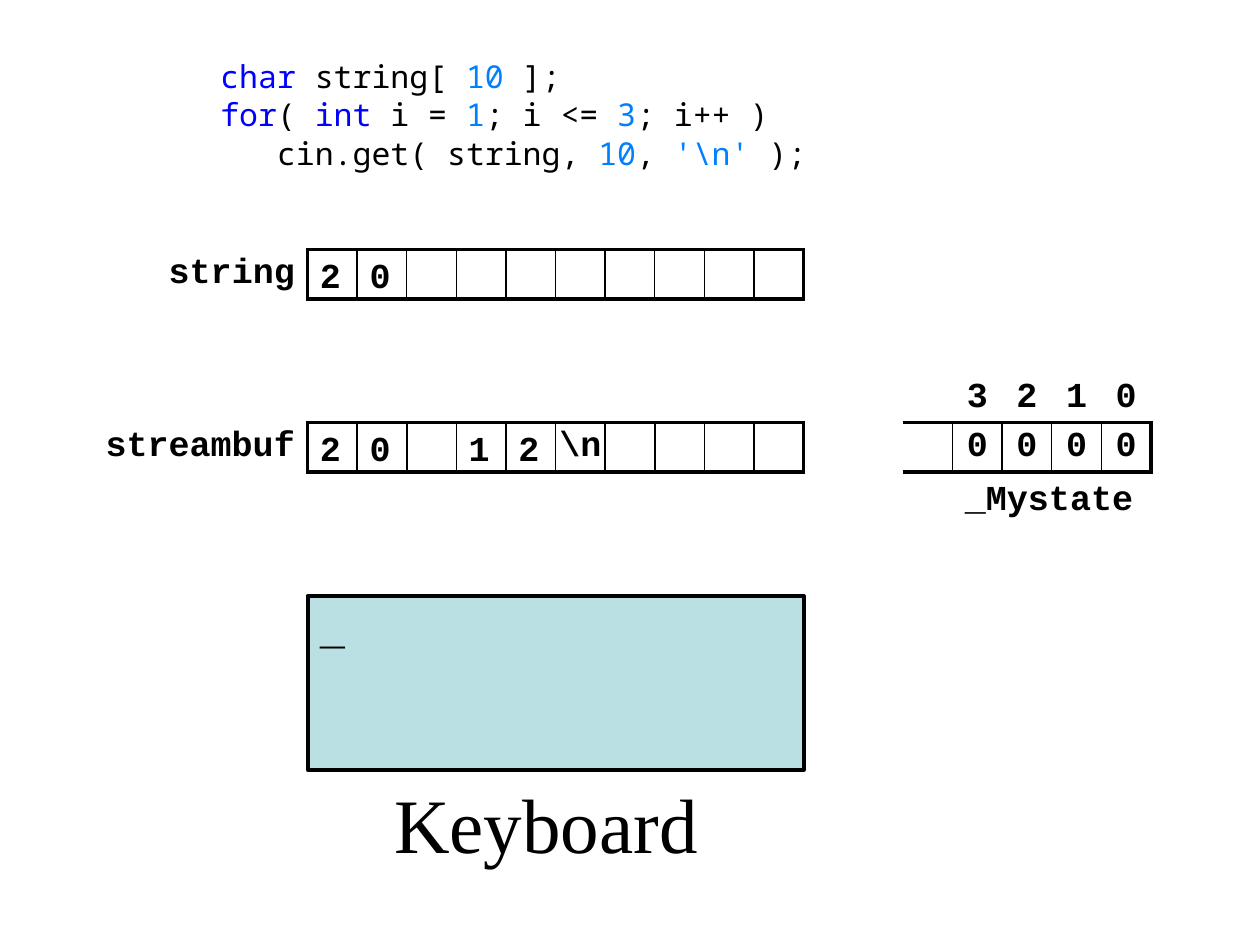
from lxml.etree import SubElement
from pptx import Presentation
from pptx.dml.color import RGBColor
from pptx.enum.shapes import MSO_SHAPE
from pptx.enum.text import MSO_ANCHOR as Anchor, PP_ALIGN as Align
from pptx.oxml.ns import qn
from pptx.util import Pt

COLORS = {"text": "000000", "keyword": "0000FF", "literal": "0080FF", "screen": "BBE0E3"}
MONO, CODE_FONT, SERIF = "Courier New", "Noto Sans Mono", "Times New Roman"
THICK, THIN = 2.25, 1
CELL = 28.35
BUFFER_X, STRING_Y, STREAM_Y = 175.75, 142.5, 213.1
STATE_X = BUFFER_X + 12 * CELL
SLOTS = 10

CODE = [
    [("char", "keyword"), (" string[ ", "text"), ("10", "literal"), (" ];", "text")],
    [("for", "keyword"), ("( ", "text"), ("int", "keyword"), (" i = ", "text"),
     ("1", "literal"), ("; i <= ", "text"), ("3", "literal"), ("; i++ )", "text")],
    [("   cin.get( string, ", "text"), ("10", "literal"), (", ", "text"),
     ("'\\n'", "literal"), (" );", "text")],
]
STREAM_ROWS = [[""] * (SLOTS + 1), ["streambuf"] + [""] * 5 + ["\\n"] + [""] * 4]
STRING_ROWS = [["string"] + [""] * SLOTS]
STATE_ROWS = [["", "3", "2", "1", "0"], ["", "0", "0", "0", "0"]]
# Slot number -> character, with the top of the row it sits in
CHARACTERS = [
    (STRING_Y, {0: "2", 1: "0"}),
    (STREAM_Y + CELL, {0: "2", 1: "0", 3: "1", 4: "2"}),
]


def rgb(name):
    return RGBColor.from_string(COLORS[name])


def add_run(paragraph, text, size, font=MONO, bold=True, color="text"):
    run = paragraph.add_run()
    run.text = text
    run.font.size, run.font.name, run.font.bold = Pt(size), font, bold
    run.font.color.rgb = rgb(color)


def set_margins(target, left, top, right, bottom):
    target.margin_left, target.margin_top = Pt(left), Pt(top)
    target.margin_right, target.margin_bottom = Pt(right), Pt(bottom)


def add_text_frame(slide, left, top, width, height, margins=(7.2, 3.6, 7.2, 3.6),
                   anchor=Anchor.TOP, wrap=True):
    box = slide.shapes.add_textbox(Pt(left), Pt(top), Pt(width), Pt(height))
    frame = box.text_frame
    frame.word_wrap, frame.vertical_anchor = wrap, anchor
    set_margins(frame, *margins)
    return frame


def set_borders(cell, **widths):
    """Draw each side in the given width; a width of 0 means no line."""
    properties = cell._tc.get_or_add_tcPr()
    for position, side in enumerate("LRTB"):
        line = properties.makeelement(qn(f"a:ln{side}"), {})
        properties.insert(position, line)
        if widths[side]:
            line.set("w", str(Pt(widths[side])))
            fill = SubElement(line, qn("a:solidFill"))
            SubElement(fill, qn("a:srgbClr"), val=COLORS["text"])
        else:
            SubElement(line, qn("a:noFill"))


def add_memory(slide, left, top, rows, label_width=0):
    """Add a table whose last row is framed; without a label its left end is open."""
    count = len(rows[0])
    first_width = label_width or CELL
    first_slot = 1 if label_width else 0
    graphic = slide.shapes.add_table(
        len(rows), count, Pt(left), Pt(top),
        Pt(first_width + (count - 1) * CELL), Pt(len(rows) * CELL))
    table = graphic.table
    table.first_row = table.horz_banding = False
    for index, column in enumerate(table.columns):
        column.width = Pt(CELL if index else first_width)

    def vertical_edge(row, edge):
        if row < len(rows) - 1 or edge < first_slot or edge == 0:
            return 0
        return THICK if edge in (count, first_slot) else THIN

    def horizontal_edge(edge, column):
        framed = edge >= len(rows) - 1 and column >= first_slot
        return THICK if framed else 0

    for r, texts in enumerate(rows):
        table.rows[r].height = Pt(CELL)
        for c, text in enumerate(texts):
            cell = table.cell(r, c)
            is_label = c < first_slot
            cell.fill.background()
            cell.vertical_anchor = Anchor.MIDDLE
            set_margins(cell, 0, 0, 7.2 if is_label else 0, 0)
            set_borders(cell, L=vertical_edge(r, c), R=vertical_edge(r, c + 1),
                        T=horizontal_edge(r, c), B=horizontal_edge(r + 1, c))
            if text:
                paragraph = cell.text_frame.paragraphs[0]
                paragraph.alignment = Align.RIGHT if is_label else Align.CENTER
                add_run(paragraph, text, 20)


def add_code(slide):
    frame = add_text_frame(slide, 118.8, 28.8, 354.2, 85)
    for index, pieces in enumerate(CODE):
        paragraph = frame.add_paragraph() if index else frame.paragraphs[0]
        paragraph.space_before = Pt(0.6)
        for text, color in pieces:
            add_run(paragraph, text, 18, CODE_FONT, False, color)


def add_keyboard(slide):
    caption = add_text_frame(slide, 218.2, 440, 198.7, 70.5, wrap=False)
    add_run(caption.paragraphs[0], "Keyboard", 44, SERIF, False)
    screen = slide.shapes.add_shape(MSO_SHAPE.RECTANGLE, Pt(BUFFER_X), Pt(340.6),
                                    Pt(SLOTS * CELL), Pt(99.2))
    screen.shadow.inherit = False
    screen.fill.solid()
    screen.fill.fore_color.rgb = rgb("screen")
    screen.line.color.rgb = rgb("text")
    screen.line.width = Pt(THICK)
    frame = screen.text_frame
    frame.word_wrap, frame.vertical_anchor = False, Anchor.TOP
    frame.paragraphs[0].alignment = Align.LEFT
    add_run(frame.paragraphs[0], "_", 24)


def main():
    deck = Presentation()
    deck.slide_width, deck.slide_height = Pt(720), Pt(540)
    slide = deck.slides.add_slide(deck.slide_layouts[6])
    add_code(slide)
    for top, rows, label_width in [(STREAM_Y, STREAM_ROWS, 156), (STRING_Y, STRING_ROWS, 85)]:
        add_memory(slide, BUFFER_X - label_width, top, rows, label_width)
    add_keyboard(slide)
    for top, characters in CHARACTERS:
        for slot, character in characters.items():
            frame = add_text_frame(slide, BUFFER_X + slot * CELL, top, CELL, CELL,
                                   anchor=Anchor.MIDDLE)
            add_run(frame.paragraphs[0], character, 20)
    state_name = add_text_frame(slide, STATE_X + CELL, STREAM_Y + 2 * CELL, 4 * CELL, CELL,
                                (7.2, 0, 7.2, 0), Anchor.MIDDLE)
    add_run(state_name.paragraphs[0], "_Mystate", 20)
    add_memory(slide, STATE_X, STREAM_Y, STATE_ROWS)
    deck.save("out.pptx")


if __name__ == "__main__":
    main()
